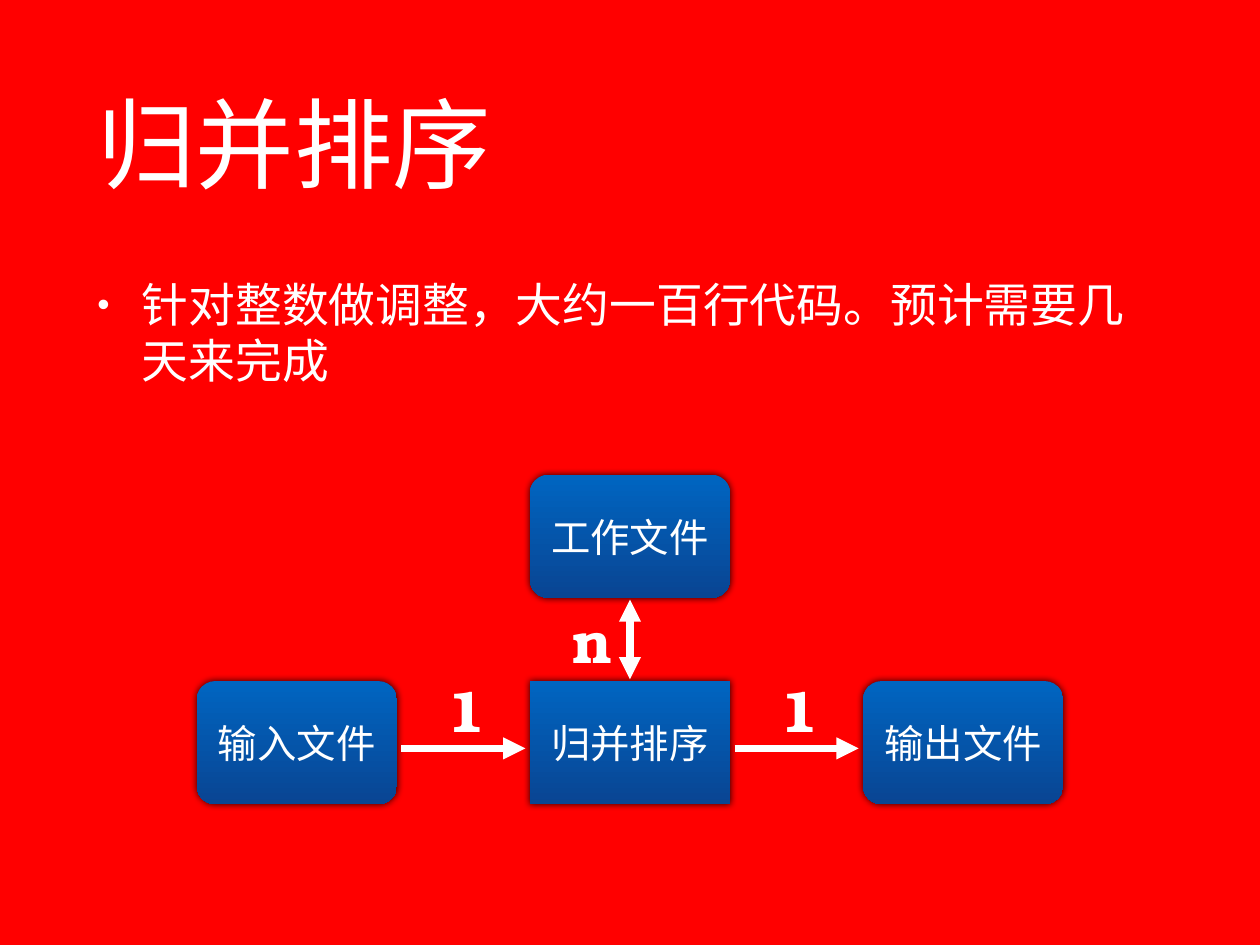
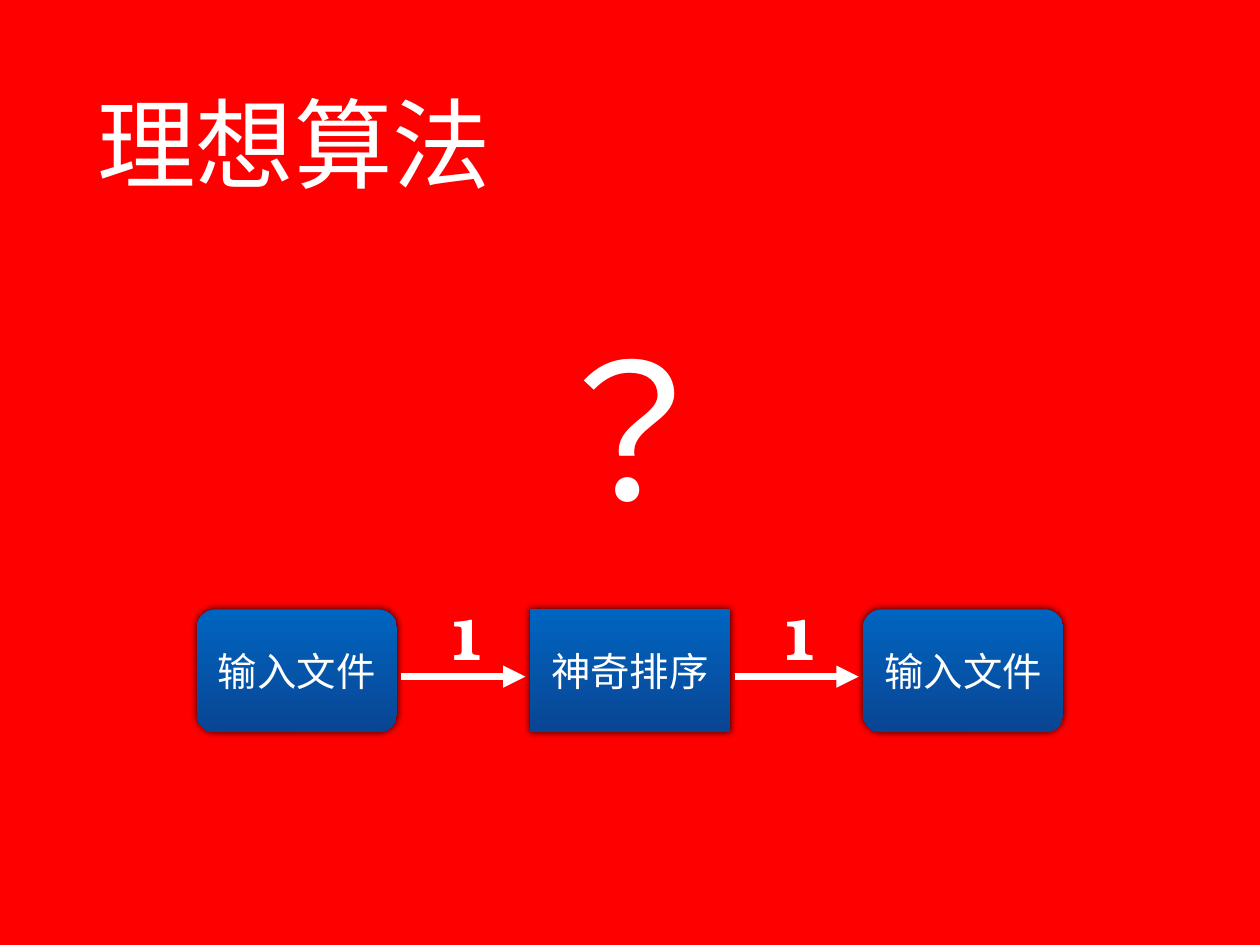
import dataclasses
import typing

import lxml.etree
import pptx
import pptx.dml.color
import pptx.enum.shapes
import pptx.enum.text
import pptx.oxml.ns
import pptx.util

Inches, Pt, qn = pptx.util.Inches, pptx.util.Pt, pptx.oxml.ns.qn
RGB = pptx.dml.color.RGBColor.from_string
SHAPE = pptx.enum.shapes.MSO_SHAPE
ALIGN = pptx.enum.text.PP_ALIGN
ANCHOR = pptx.enum.text.MSO_ANCHOR
AUTO = pptx.enum.text.MSO_AUTO_SIZE

SLIDE_W, SLIDE_H = 14.22, 10.67
CENTRE = SLIDE_W / 2
BOX_W, BOX_H = 2.26, 1.39
COL_PITCH, ROW_PITCH = 3.76, 2.33
COL_GAP, ROW_GAP = COL_PITCH - BOX_W, ROW_PITCH - BOX_H
ARROW_Y = 0.76  # below the top of a row
LABEL_W, LABEL_H = 0.5, 0.89
CONTENT_X, CONTENT_W = 1.04, 12.14


@dataclasses.dataclass(frozen=True)
class TextStyle:
    size: int
    font: str = "Calibri"
    bold: bool = False
    align: ALIGN = ALIGN.CENTER
    space_before: int = 0


@dataclasses.dataclass(frozen=True)
class Theme:
    background: str = "FF0000"
    ink: str = "FFFFFF"
    gradient: tuple[str, str] = ("0065C1", "094593")
    shadow: str = "000000"
    inset: float = 0.06
    arrow_pt: int = 6
    title: TextStyle = TextStyle(80, align=ALIGN.LEFT)
    bullet: TextStyle = TextStyle(38, align=ALIGN.LEFT, space_before=42)
    question: TextStyle = TextStyle(152, "Noto Sans CJK JP", space_before=42)
    box: TextStyle = TextStyle(32)
    label: TextStyle = TextStyle(48, "TeX Gyre Bonum", True)


THEME = Theme()


class Box(typing.NamedTuple):
    """A flow box; col counts from the middle column, row from the main row."""
    text: str
    col: int
    row: int = 0
    shape: SHAPE = SHAPE.ROUNDED_RECTANGLE


def col_x(col: int) -> float:
    return CENTRE - BOX_W / 2 + col * COL_PITCH


def add_xml(parent, tag: str, **attrs: str):
    return lxml.etree.SubElement(parent, qn(tag), attrs)


def set_text(sp, text: str, style: TextStyle, wrap: bool = True):
    tf = sp.text_frame
    inset = Inches(THEME.inset)
    frame = {
        "margin_left": inset, "margin_right": inset,
        "margin_top": inset, "margin_bottom": inset,
        "vertical_anchor": ANCHOR.MIDDLE, "word_wrap": wrap,
        "auto_size": AUTO.NONE if wrap else AUTO.SHAPE_TO_FIT_TEXT,
    }
    for name, value in frame.items():
        setattr(tf, name, value)
    p = tf.paragraphs[0]
    p.alignment, p.space_before = style.align, Pt(style.space_before)
    r = p.add_run()
    r.text = text
    for name, value in {"size": Pt(style.size), "name": style.font,
                        "bold": style.bold}.items():
        setattr(r.font, name, value)
    r.font.color.rgb = RGB(THEME.ink)
    add_xml(r._r.get_or_add_rPr(), "a:ea", typeface=style.font)
    return p


def add_text(slide, text: str, style: TextStyle, x: float, y: float,
             w: float, h: float, wrap: bool = True):
    sp = slide.shapes.add_textbox(Inches(x), Inches(y), Inches(w), Inches(h))
    return set_text(sp, text, style, wrap)


def add_bullet(p, indent: float = 0.5) -> None:
    pPr = p._p.get_or_add_pPr()
    pPr.set("marL", str(Inches(indent)))
    pPr.set("indent", str(-Inches(indent)))
    add_xml(pPr, "a:buSzPct", val="75000")
    add_xml(pPr, "a:buFont", typeface="Arial")
    add_xml(pPr, "a:buChar", char="•")


def add_box(slide, box: Box, main_y: float) -> None:
    sp = slide.shapes.add_shape(
        box.shape, Inches(col_x(box.col)), Inches(main_y + box.row * ROW_PITCH),
        Inches(BOX_W), Inches(BOX_H))
    if box.shape == SHAPE.ROUNDED_RECTANGLE:
        sp.adjustments[0] = 0.15
    sp.fill.gradient()
    sp.fill.gradient_angle = 270
    for position, (stop, color) in enumerate(zip(sp.fill.gradient_stops, THEME.gradient)):
        stop.position, stop.color.rgb = position, RGB(color)
    sp.line.fill.background()
    sp.shadow.inherit = False
    effects = sp._element.spPr.find(qn("a:effectLst"))
    shadow = add_xml(effects, "a:outerShdw", blurRad=str(Pt(6)), dist="0",
                     dir="18900000", rotWithShape="0")
    color = add_xml(shadow, "a:srgbClr", val=THEME.shadow)
    add_xml(color, "a:alpha", val="80000")
    set_text(sp, box.text, THEME.box)


def add_arrow(slide, x1: float, y1: float, x2: float, y2: float,
              both_ends: bool = False) -> None:
    cx = slide.shapes.add_connector(
        pptx.enum.shapes.MSO_CONNECTOR.STRAIGHT,
        Inches(x1), Inches(y1), Inches(x2), Inches(y2))
    cx.line.color.rgb = RGB(THEME.ink)
    cx.line.width = Pt(THEME.arrow_pt)
    spPr = cx._element.spPr
    ln = spPr.find(qn("a:ln"))
    if both_ends:
        add_xml(ln, "a:headEnd", type="triangle")
    add_xml(ln, "a:tailEnd", type="triangle")
    add_xml(spPr, "a:effectLst")


def add_label(slide, text: str, centre_x: float, y: float) -> None:
    add_text(slide, text, THEME.label, centre_x - LABEL_W / 2, y,
             LABEL_W, LABEL_H, wrap=False)


def add_flow(slide, boxes: list[Box], main_y: float) -> None:
    """Draw the boxes and the two labelled arrows along the main row."""
    for box in boxes:
        add_box(slide, box, main_y)
    y = main_y + ARROW_Y
    for col in (-1, 0):
        left = col_x(col) + BOX_W
        add_arrow(slide, left + 0.05, y, left + COL_GAP - 0.05, y)
        add_label(slide, "1", left + COL_GAP / 2, y - LABEL_H)


def add_work_link(slide, main_y: float) -> None:
    """Join the main row's middle box to the work file above it."""
    add_arrow(slide, CENTRE, main_y - 0.02, CENTRE, main_y - ROW_GAP + 0.02,
              both_ends=True)
    add_label(slide, "n", 6.65, main_y - 0.02 - LABEL_H)


def add_titled_slide(prs, title: str):
    slide = prs.slides.add_slide(prs.slide_layouts.get_by_name("Title Only"))
    sp = slide.shapes.title
    for name, value in {"left": CONTENT_X, "top": 0.44,
                        "width": CONTENT_W, "height": 2.32}.items():
        setattr(sp, name, Inches(value))
    set_text(sp, title, THEME.title)
    return slide


def build_merge_sort(prs) -> None:
    slide = add_titled_slide(prs, "归并排序")
    p = add_text(slide, "针对整数做调整，大约一百行代码。预计需要几天来完成",
                 THEME.bullet, CONTENT_X, 2.83, CONTENT_W, 1.84)
    add_bullet(p)
    main_y = 7.69
    add_flow(slide, [
        Box("工作文件", 0, row=-1),
        Box("输入文件", -1),
        Box("输出文件", 1),
        Box("归并排序", 0, shape=SHAPE.RECTANGLE),
    ], main_y)
    add_work_link(slide, main_y)


def build_ideal_algorithm(prs) -> None:
    slide = add_titled_slide(prs, "理想算法")
    add_text(slide, "？", THEME.question, CONTENT_X, 3.36, CONTENT_W, 2.91)
    add_flow(slide, [
        Box("输入文件", -1),
        Box("输入文件", 1),
        Box("神奇排序", 0, shape=SHAPE.RECTANGLE),
    ], 6.88)


def main() -> None:
    prs = pptx.Presentation()
    prs.slide_width, prs.slide_height = Inches(SLIDE_W), Inches(SLIDE_H)
    fill = prs.slide_master.background.fill
    fill.solid()
    fill.fore_color.rgb = RGB(THEME.background)
    build_merge_sort(prs)
    build_ideal_algorithm(prs)
    prs.save("out.pptx")


if __name__ == "__main__":
    main()
